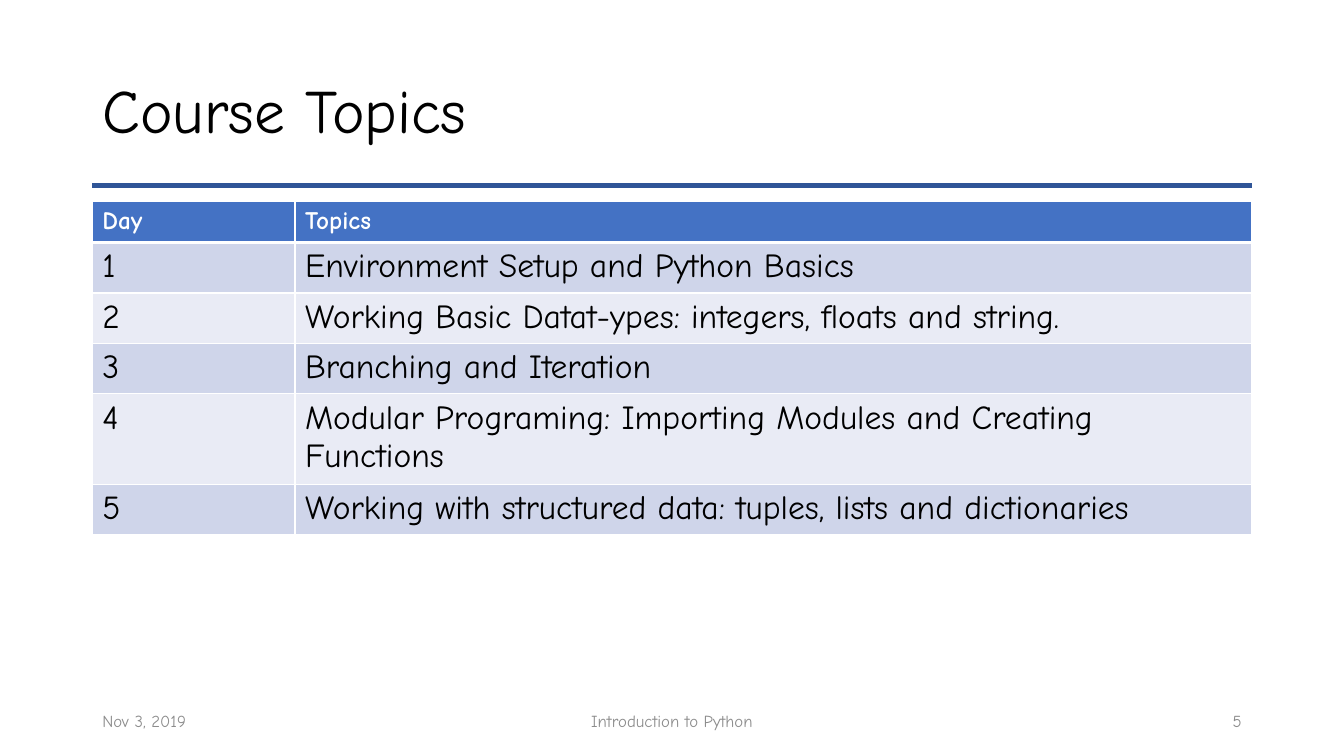
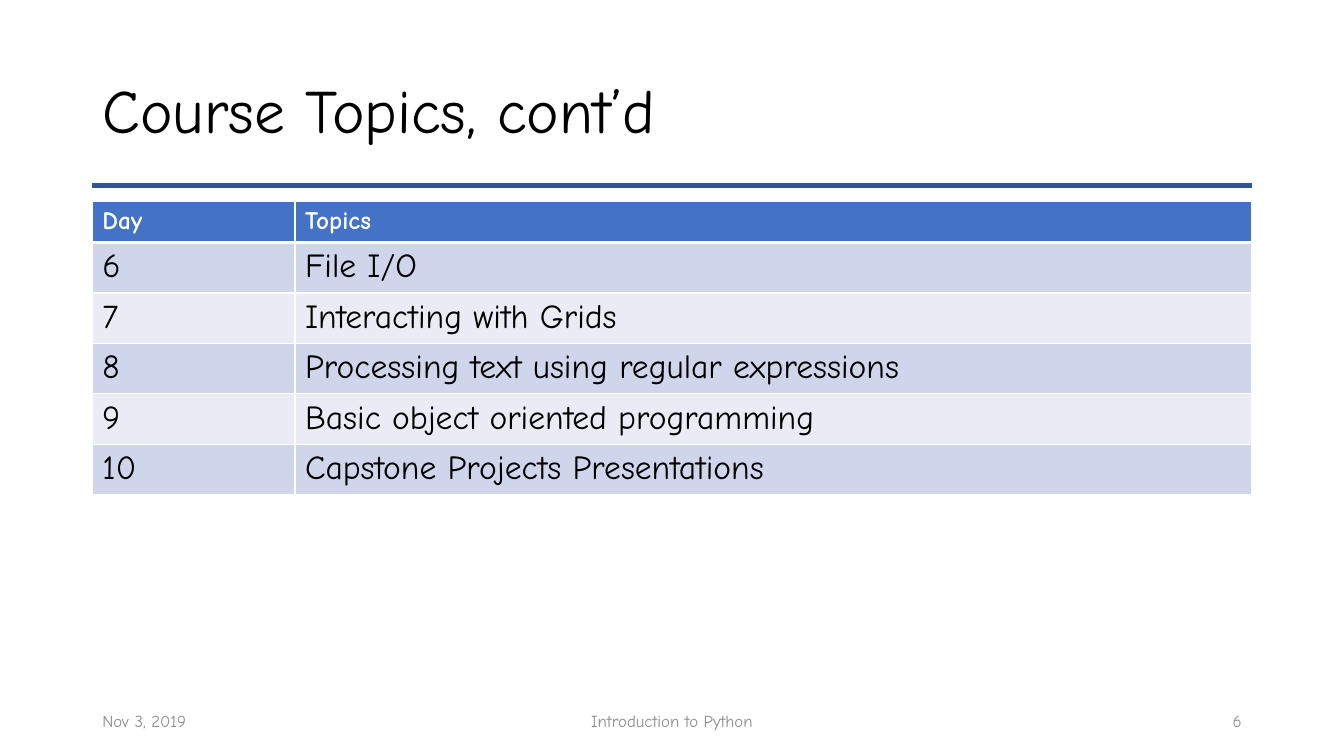
"""Build the two course topic slides of an introduction to Python."""
from lxml import etree
from pptx import Presentation
from pptx.dml.color import RGBColor
from pptx.enum.shapes import MSO_CONNECTOR
from pptx.enum.text import MSO_ANCHOR, PP_ALIGN
from pptx.oxml.ns import qn
from pptx.util import Pt

STRAIGHT = MSO_CONNECTOR.STRAIGHT
MIDDLE = MSO_ANCHOR.MIDDLE
LEFT, CENTER, RIGHT = PP_ALIGN.LEFT, PP_ALIGN.CENTER, PP_ALIGN.RIGHT

FONT = "Comic Neue"
WHITE, BLACK, GREY = "FFFFFF", "000000", "8C8C8C"
RULE_BLUE, HEADER_BLUE = "2F5597", "4472C4"
BANDS = ["CFD5EA", "E9EBF5"]

SLIDE_WIDTH, SLIDE_HEIGHT = 960, 540
MARGIN = 66
CONTENT_WIDTH = SLIDE_WIDTH - 2 * MARGIN
RULE_TOP = 132.5
TABLE_TOP, ROW_HEIGHT, DAY_WIDTH = 144, 29.2, 144.7
FOOTER_TOP, FOOTER_HEIGHT = 500.5, 28.75
DATE_WIDTH, COURSE_WIDTH = 216, 324
FIRST_PAGE = 5

SLIDES = [
    ("Course Topics", [
        ("1", "Environment Setup and Python Basics"),
        ("2", "Working Basic Datat-ypes: integers, floats and string."),
        ("3", "Branching and Iteration"),
        ("4", "Modular Programing: Importing Modules and Creating Functions"),
        ("5", "Working with structured data: tuples, lists and dictionaries"),
    ]),
    ("Course Topics, cont’d", [
        ("6", "File I/O"),
        ("7", "Interacting with Grids"),
        ("8", "Processing text using regular expressions"),
        ("9", "Basic object oriented programming"),
        ("10", "Capstone Projects Presentations"),
    ]),
]


def write(frame, text, size, color, align=LEFT, bold=False):
    frame.word_wrap = True
    paragraph = frame.paragraphs[0]
    paragraph.text = text
    paragraph.alignment = align
    paragraph.font.name = FONT
    paragraph.font.size = Pt(size)
    paragraph.font.bold = bold
    paragraph.font.color.rgb = RGBColor.from_string(color)
    return paragraph


def add_text(slide, left, top, width, height, text, size, color, align=LEFT):
    box = slide.shapes.add_textbox(Pt(left), Pt(top), Pt(width), Pt(height))
    box.text_frame.vertical_anchor = MIDDLE
    return write(box.text_frame, text, size, color, align)


deck = Presentation()
deck.slide_width, deck.slide_height = Pt(SLIDE_WIDTH), Pt(SLIDE_HEIGHT)
blank_layout = deck.slide_layouts[6]

for page, (title, topics) in enumerate(SLIDES, FIRST_PAGE):
    slide = deck.slides.add_slide(blank_layout)

    rule = slide.shapes.add_connector(
        STRAIGHT, Pt(MARGIN), Pt(RULE_TOP), Pt(MARGIN + CONTENT_WIDTH), Pt(RULE_TOP))
    rule.line.color.rgb = RGBColor.from_string(RULE_BLUE)
    rule.line.width = Pt(3)
    etree.SubElement(rule._element.spPr, qn("a:effectLst"))

    heading = add_text(slide, MARGIN, 28.75, CONTENT_WIDTH, 104.4, title, 44, BLACK)
    heading.line_spacing = 0.9

    rows = [("Day", "Topics")] + topics
    schedule = slide.shapes.add_table(
        len(rows), 2, Pt(MARGIN), Pt(TABLE_TOP),
        Pt(CONTENT_WIDTH), Pt(ROW_HEIGHT * len(rows))).table
    schedule.columns[0].width = Pt(DAY_WIDTH)
    schedule.columns[1].width = Pt(CONTENT_WIDTH - DAY_WIDTH)

    for row_index, row in enumerate(rows):
        is_header = row_index == 0
        fill = HEADER_BLUE if is_header else BANDS[(row_index - 1) % 2]
        size, color = (18, WHITE) if is_header else (24, BLACK)
        top_border = 3 if row_index == 1 else 1
        bottom_border = 3 if is_header else 1
        borders = {"a:lnL": 1, "a:lnR": 1, "a:lnT": top_border, "a:lnB": bottom_border}
        for column_index, text in enumerate(row):
            cell = schedule.cell(row_index, column_index)
            write(cell.text_frame, text, size, color, bold=is_header)
            properties = cell._tc.get_or_add_tcPr()
            for side, width in borders.items():
                border = etree.SubElement(properties, qn(side), w=str(Pt(width)))
                border_fill = etree.SubElement(border, qn("a:solidFill"))
                etree.SubElement(border_fill, qn("a:srgbClr"), val=WHITE)
            cell.fill.solid()
            cell.fill.fore_color.rgb = RGBColor.from_string(fill)

    footers = [
        (MARGIN, DATE_WIDTH, "Nov 3, 2019", LEFT),
        ((SLIDE_WIDTH - COURSE_WIDTH) / 2, COURSE_WIDTH, "Introduction to Python", CENTER),
        (SLIDE_WIDTH - MARGIN - DATE_WIDTH, DATE_WIDTH, str(page), RIGHT),
    ]
    for left, width, text, align in footers:
        add_text(slide, left, FOOTER_TOP, width, FOOTER_HEIGHT, text, 12, GREY, align)

deck.save("out.pptx")
